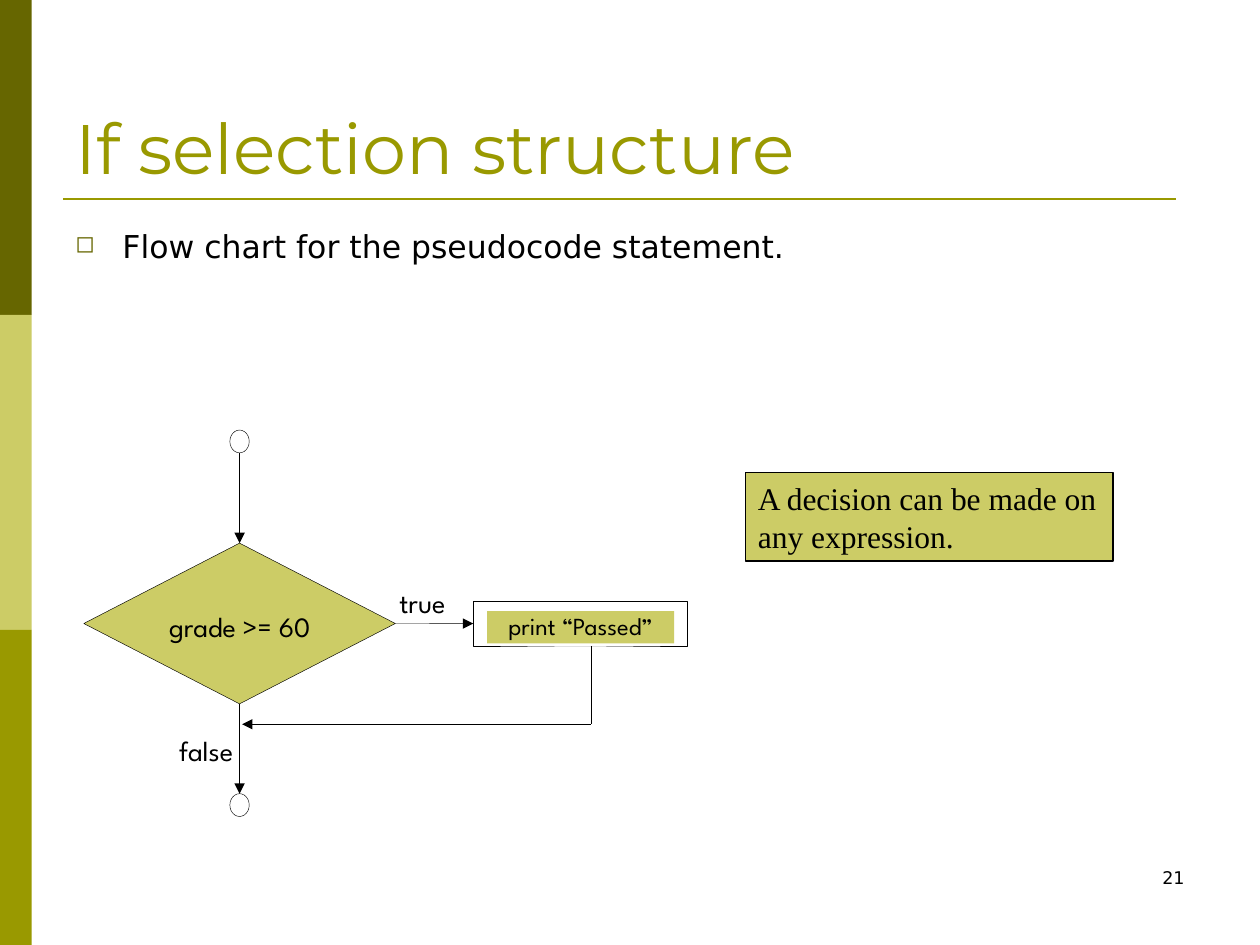
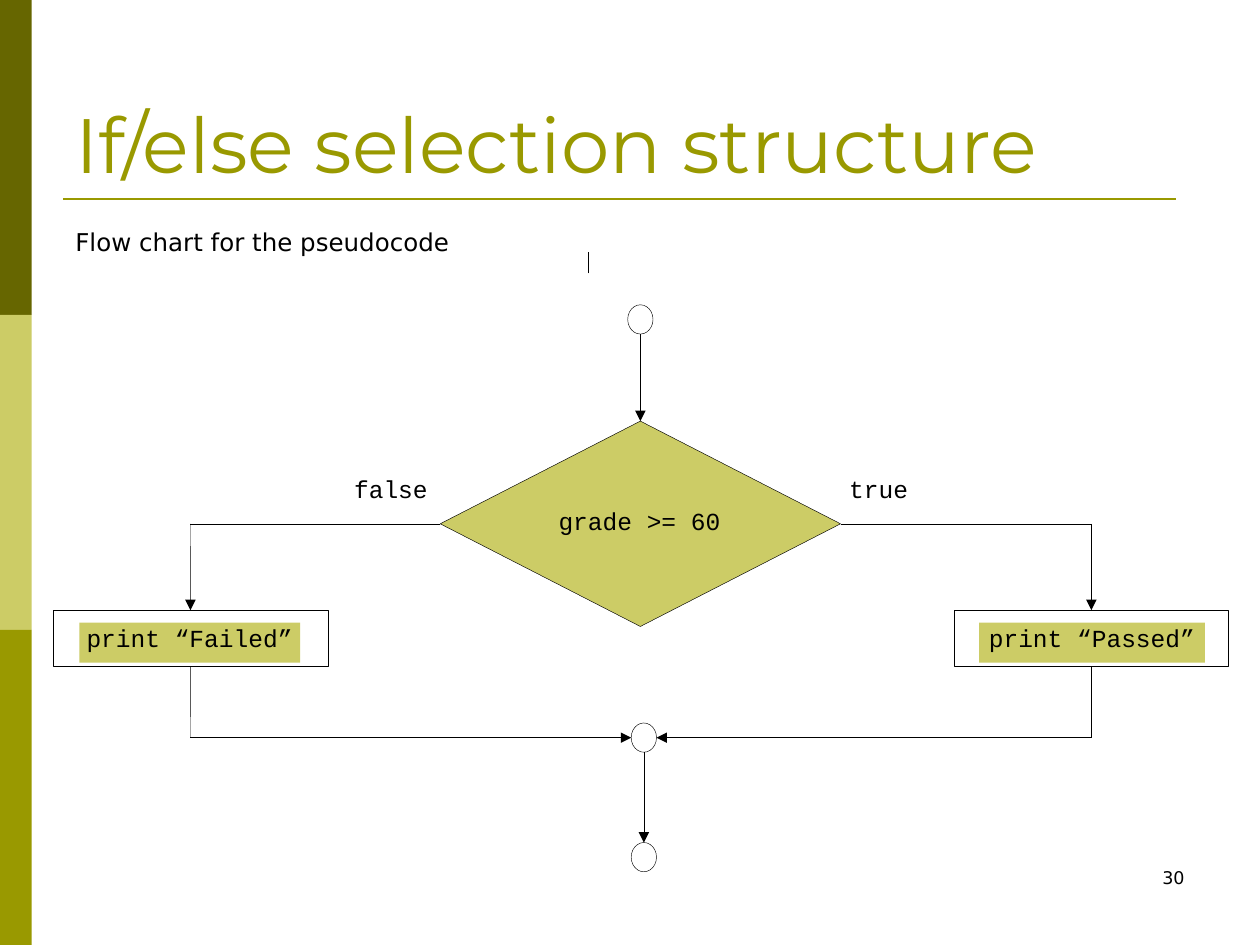
"""Build two flow chart slides on the if and if/else selection structures."""
from lxml.etree import SubElement
from pptx import Presentation
from pptx.dml.color import RGBColor
from pptx.enum.shapes import MSO_CONNECTOR, MSO_SHAPE
from pptx.enum.text import MSO_ANCHOR, PP_ALIGN
from pptx.oxml.ns import qn
from pptx.util import Cm, Pt

COLORS = {"dark": "666600", "pale": "CCCC66", "olive": "999900", "black": "000000"}
BANDS = ["dark", "pale", "olive"]
BAND_SIZE = (0.64, 6.35)
RULE = ((1.27, 4.01), (23.7, 4.01))
TITLE_BOX = (1.27, 0.76, 22.86, 3.18)
BODY_BOX = (1.27, 4.45, 22.86, 12.57)
NUMBER_BOX = (18.21, 17.35, 5.92, 1.27)
SIDES = {"top": (0, 0, -1), "left": (1, -1, 0), "bottom": (2, 0, 1), "right": (3, 1, 0)}
KINDS = {
    "circle": (MSO_SHAPE.OVAL, None),
    "decision": (MSO_SHAPE.DIAMOND, "pale"),
    "process": (MSO_SHAPE.RECTANGLE, None),
}

SLIDES = [
    {
        "title": ("If selection structure", 40),
        "body": ("Flow chart for the pseudocode statement.", 18, True),
        "number": "21",
        "font": "League Spartan",
        "sizes": {"circle": (0.39, 0.46), "decision": (6.28, 3.24), "process": (4.32, 0.9)},
        "nodes": {
            "start": ("circle", 4.83, 8.9),
            "grade": ("decision", 4.83, 12.57),
            "passed": ("process", 11.7, 12.57),
            "end": ("circle", 4.83, 16.23),
        },
        "arrows": [
            (("start", "bottom"), ("grade", "top")),
            (("grade", "bottom"), ("end", "top")),
            (("grade", "right"), ("passed", "left")),
            ((11.91, 14.6), (4.88, 14.6)),
        ],
        "lines": [((11.91, 13.02), (11.91, 14.6))],
        "chips": [("print “Passed”", (9.82, 12.32, 3.77, 0.65), 14)],
        "labels": [
            ("true", (8.05, 11.81, 1.4, 0.91), 16, "left"),
            ("false", (3.61, 14.78, 1.7, 0.91), 16, "left"),
            ("grade >= 60", (3.07, 12.29, 3.53, 0.69), 16, "center"),
        ],
        "notes": [("A decision can be made on any expression.", (15.03, 9.53, 7.41, 1.78))],
        "ticks": [],
    },
    {
        "title": ("If/else selection structure", 44),
        "body": ("Flow chart for the pseudocode", 14, False),
        "number": "30",
        "font": "Courier New",
        "sizes": {"circle": (0.51, 0.59), "decision": (8.07, 4.14), "process": (5.54, 1.14)},
        "nodes": {
            "start": ("circle", 12.91, 6.44),
            "grade": ("decision", 12.91, 10.56),
            "failed": ("process", 3.84, 12.87),
            "passed": ("process", 22.0, 12.87),
            "merge": ("circle", 12.98, 14.87),
            "end": ("circle", 12.98, 17.28),
        },
        "arrows": [
            (("start", "bottom"), ("grade", "top")),
            ((3.84, 10.56), ("failed", "top")),
            ((22.0, 10.56), ("passed", "top")),
            ((3.84, 14.87), ("merge", "left")),
            ((22.0, 14.87), ("merge", "right")),
            (("merge", "bottom"), ("end", "top")),
        ],
        "lines": [
            (("grade", "left"), (3.84, 10.56)),
            (("grade", "right"), (22.0, 10.56)),
            (("failed", "bottom"), (3.84, 14.87)),
            (("passed", "bottom"), (22.0, 14.87)),
        ],
        "chips": [
            ("print “Failed”", (1.6, 12.55, 4.45, 0.81), 14),
            ("print “Passed”", (19.74, 12.55, 4.55, 0.81), 14),
        ],
        "labels": [
            ("true", (17.12, 9.55, 1.78, 1.14), 14, "left"),
            ("false", (7.14, 9.55, 2.18, 1.14), 14, "left"),
            ("grade >= 60", (10.62, 10.21, 4.55, 0.91), 14, "center"),
        ],
        "notes": [],
        "ticks": [((11.86, 5.51), (11.86, 5.08))],
    },
]


def rgb(color):
    return RGBColor.from_string(COLORS[color])


def add_bullet(paragraph):
    properties = paragraph._p.get_or_add_pPr()
    properties.set("marL", str(Cm(0.95)))
    properties.set("indent", str(-Cm(0.95)))
    bullet_color = SubElement(properties, qn("a:buClr"))
    SubElement(bullet_color, qn("a:srgbClr"), val=COLORS["dark"])
    SubElement(properties, qn("a:buSzPct"), val="75000")
    SubElement(properties, qn("a:buChar"), char="◻")


def write(shape, text, font, size, color="black", align="left", anchor="top",
          inset=(0, 0), bullet=False):
    frame = shape.text_frame
    across, down = (Cm(value) for value in inset)
    frame_format = {
        "margin_left": across, "margin_right": across,
        "margin_top": down, "margin_bottom": down,
        "word_wrap": across > 0,
        "vertical_anchor": MSO_ANCHOR[anchor.upper()],
    }
    for name, value in frame_format.items():
        setattr(frame, name, value)
    paragraph = frame.paragraphs[0]
    paragraph.alignment = PP_ALIGN[align.upper()]
    if bullet:
        add_bullet(paragraph)
    run = paragraph.add_run()
    run.text = text
    for name, value in {"name": font, "size": Pt(size)}.items():
        setattr(run.font, name, value)
    run.font.color.rgb = rgb(color)


def add_text(slide, text, box, font, size, **options):
    write(slide.shapes.add_textbox(*map(Cm, box)), text, font, size, **options)


def add_block(slide, kind, box, fill=None, line_width=0):
    shape = slide.shapes.add_shape(kind, *map(Cm, box))
    shape.shadow.inherit = False
    if fill:
        shape.fill.solid()
        shape.fill.fore_color.rgb = rgb(fill)
    else:
        shape.fill.background()
    if line_width:
        shape.line.color.rgb = rgb("black")
        shape.line.width = Pt(line_width)
    else:
        shape.line.fill.background()
    return shape


def add_line(slide, start, end, width=0.25, color="black", arrow=False):
    connector = slide.shapes.add_connector(MSO_CONNECTOR.STRAIGHT, *map(Cm, start + end))
    connector.line.color.rgb = rgb(color)
    connector.line.width = Pt(width)
    properties = connector.element.spPr
    if arrow:
        SubElement(properties.find(qn("a:ln")), qn("a:tailEnd"), type="triangle")
    SubElement(properties, qn("a:effectLst"))
    return connector


def add_frame(slide, content):
    width, height = BAND_SIZE
    for row, color in enumerate(BANDS):
        add_block(slide, MSO_SHAPE.RECTANGLE, (0, row * height, width, height), color)
    add_line(slide, *RULE, width=1.5, color="olive")
    inset = (0.25, 0.13)
    title, title_size = content["title"]
    add_text(slide, title, TITLE_BOX, "Montserrat", title_size,
             color="olive", anchor="bottom", inset=inset)
    body, body_size, bullet = content["body"]
    add_text(slide, body, BODY_BOX, "DejaVu Sans", body_size, inset=inset, bullet=bullet)
    add_text(slide, content["number"], NUMBER_BOX, "DejaVu Sans", 10,
             align="right", inset=inset)


def add_nodes(slide, content):
    shapes = {}
    for name, (kind, x, y) in content["nodes"].items():
        width, height = content["sizes"][kind]
        preset, fill = KINDS[kind]
        box = (x - width / 2, y - height / 2, width, height)
        shapes[name] = add_block(slide, preset, box, fill, 0.25)
    return shapes


def locate(content, joint):
    """Return the point of a joint, given as a point or as a node and its side."""
    if joint[0] not in content["nodes"]:
        return joint
    name, side = joint
    kind, x, y = content["nodes"][name]
    width, height = content["sizes"][kind]
    _, across, down = SIDES[side]
    return x + across * width / 2, y + down * height / 2


def add_flow(slide, content, shapes, start, end, arrow):
    connector = add_line(slide, locate(content, start), locate(content, end), arrow=arrow)
    for joint, connect in ((start, connector.begin_connect), (end, connector.end_connect)):
        name, side = joint
        if name in shapes and content["nodes"][name][0] != "circle":
            connect(shapes[name], SIDES[side][0])


def build_slide(slide, content):
    add_frame(slide, content)
    shapes = add_nodes(slide, content)
    for key, arrow in (("arrows", True), ("lines", False)):
        for start, end in content[key]:
            add_flow(slide, content, shapes, start, end, arrow)
    for text, box, size in content["chips"]:
        chip = add_block(slide, MSO_SHAPE.RECTANGLE, box, "pale")
        write(chip, text, content["font"], size, align="center")
    for text, box, size, align in content["labels"]:
        add_text(slide, text, box, content["font"], size, align=align)
    for text, box in content["notes"]:
        note = add_block(slide, MSO_SHAPE.RECTANGLE, box, "pale", 0.75)
        write(note, text, "Times New Roman", 18, inset=(0.25, 0.13))
    for start, end in content["ticks"]:
        add_line(slide, start, end, width=0.75)


def main():
    presentation = Presentation()
    presentation.slide_width, presentation.slide_height = Cm(25.4), Cm(19.05)
    for content in SLIDES:
        build_slide(presentation.slides.add_slide(presentation.slide_layouts[6]), content)
    presentation.save("out.pptx")


if __name__ == "__main__":
    main()
